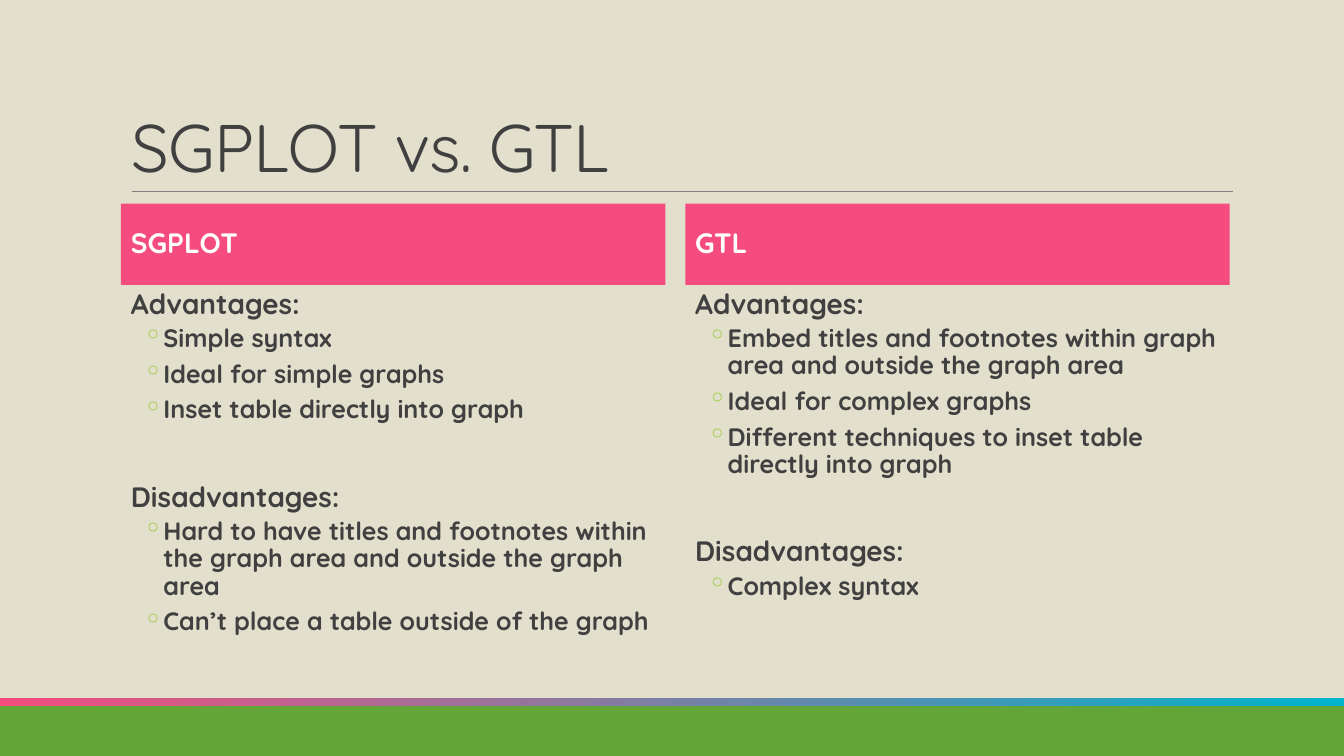
from dataclasses import dataclass

from lxml import etree
from pptx import Presentation
from pptx import util as u
from pptx.dml.color import RGBColor
from pptx.enum import shapes, text
from pptx.oxml.ns import qn


@dataclass(frozen=True)
class Theme:
    """Colours, font and type sizes of the slide."""
    font: str = "Quicksand"
    paper: str = "E2DFCC"
    ink: str = "404040"
    white: str = "FFFFFF"
    pink: str = "F44C7E"
    blue: str = "00B4CC"
    green: str = "63A537"
    bullet: str = "99CB38"
    rule: str = "808080"
    title_size: int = 48
    heading_size: int = 20
    point_size: int = 18


THEME = Theme()
COMPARISON = [
    ("SGPLOT", 10.39, [
        ("Advantages:", ["Simple syntax", "Ideal for simple graphs",
                         "Inset table directly into graph"]),
        ("Disadvantages:", ["Hard to have titles and footnotes within the graph area "
                            "and outside the graph area",
                            "Can’t place a table outside of the graph"]),
    ]),
    ("GTL", 9.37, [
        ("Advantages:", ["Embed titles and footnotes within graph area and outside the graph area",
                         "Ideal for complex graphs",
                         "Different techniques to inset table directly into graph"]),
        ("Disadvantages:", ["Complex syntax"]),
    ]),
]


def rgb(code):
    """Turn a hex code into a colour."""
    return RGBColor.from_string(code)


def write(paragraph, words, size, color, bold=True, before=0, after=0, line=0.9):
    """Fill a left-aligned paragraph and format its run."""
    paragraph.text = words
    paragraph.alignment = text.PP_ALIGN.LEFT
    paragraph.line_spacing = line
    paragraph.space_before, paragraph.space_after = u.Pt(before), u.Pt(after)
    font = paragraph.runs[0].font
    font.name, font.size, font.bold = THEME.font, u.Pt(size), bold
    font.color.rgb = rgb(color)


def indent(paragraph, margin, first=0.0, bullet=None):
    """Set the indents in centimetres and, if given, the bullet of a paragraph."""
    props = paragraph._p.get_or_add_pPr()
    props.set("marL", str(u.Cm(margin)))
    props.set("indent", str(u.Cm(first)))
    if bullet:
        bullet_color = etree.SubElement(props, qn("a:buClr"))
        etree.SubElement(bullet_color, qn("a:srgbClr")).set("val", THEME.bullet)
        etree.SubElement(props, qn("a:buChar")).set("char", bullet)


def add_bar(slide, left, top, width, height, color, end_color=None):
    """Draw a borderless bar, blended to a second colour if one is given."""
    bar = slide.shapes.add_shape(shapes.MSO_SHAPE.RECTANGLE, u.Cm(left), u.Cm(top),
                                 u.Cm(width), u.Cm(height))
    bar.shadow.inherit = False
    bar.line.fill.background()
    if end_color:
        bar.fill.gradient()
        bar.fill.gradient_angle = 0
        for stop, code in zip(bar.fill.gradient_stops, (color, end_color)):
            stop.color.rgb = rgb(code)
    else:
        bar.fill.solid()
        bar.fill.fore_color.rgb = rgb(color)
    return bar


def add_footer(slide, left, top, width, height):
    """Place the green band with its blended strip on top."""
    strip = 0.18
    add_bar(slide, left, top + strip, width, height - strip, THEME.green)
    add_bar(slide, left, top, width, strip, THEME.pink, THEME.blue)


def add_heading(slide, left, top, width, height):
    """Place the title and the rule below it."""
    title = slide.shapes.title
    title.left, title.top, title.width, title.height = map(u.Cm, (left, top, width, height))
    frame = title.text_frame
    frame.auto_size = text.MSO_AUTO_SIZE.NONE
    frame.vertical_anchor = text.MSO_ANCHOR.BOTTOM
    write(frame.paragraphs[0], "SGPLOT vs. GTL", THEME.title_size, THEME.ink,
          bold=False, line=0.85)
    frame.paragraphs[0].runs[0].font._element.set("spc", "-50")
    bottom = u.Cm(top + height)
    rule = slide.shapes.add_connector(shapes.MSO_CONNECTOR.STRAIGHT, u.Cm(left + 0.28), bottom,
                                      u.Cm(left + width + 0.08), bottom)
    rule.line.color.rgb = rgb(THEME.rule)
    rule.line.width = u.Pt(0.5)
    etree.SubElement(rule._element.spPr, qn("a:effectLst"))


def add_column(slide, left, top, width, height, name, sections):
    """Place a named header bar and the sections of points under it."""
    header_height = 2.05
    header = add_bar(slide, left, top, width, header_height, THEME.pink).text_frame
    header.vertical_anchor = text.MSO_ANCHOR.MIDDLE
    write(header.paragraphs[0], name, THEME.heading_size, THEME.white)

    body = slide.shapes.add_textbox(u.Cm(left), u.Cm(top + header_height), u.Cm(width),
                                    u.Cm(height)).text_frame
    body.word_wrap = True
    body.margin_left = body.margin_right = 0
    for number, (heading, points) in enumerate(sections):
        paragraph = body.add_paragraph() if number else body.paragraphs[0]
        write(paragraph, heading, THEME.heading_size, THEME.ink,
              before=38 if number else 0, after=2)
        indent(paragraph, 0.25)
        for point in points:
            paragraph = body.add_paragraph()
            paragraph.level = 1
            write(paragraph, point, THEME.point_size, THEME.ink, before=2, after=4)
            indent(paragraph, 1.07, -0.51, "◦")


def main():
    """Build and save the comparison slide."""
    deck = Presentation()
    deck.slide_width, deck.slide_height = u.Cm(33.87), u.Cm(19.05)
    slide = deck.slides.add_slide(deck.slide_layouts[5])
    slide.background.fill.solid()
    slide.background.fill.fore_color.rgb = rgb(THEME.paper)
    add_footer(slide, 0, 17.6, 33.87, 1.45)
    left, width, gap = 3.05, 13.72, 0.5
    add_heading(slide, left, 0.79, 2 * width + gap, 4.04)
    for number, (name, height, sections) in enumerate(COMPARISON):
        add_column(slide, left + number * (width + gap), 5.13, width, height, name, sections)
    deck.save("out.pptx")


if __name__ == "__main__":
    main()
